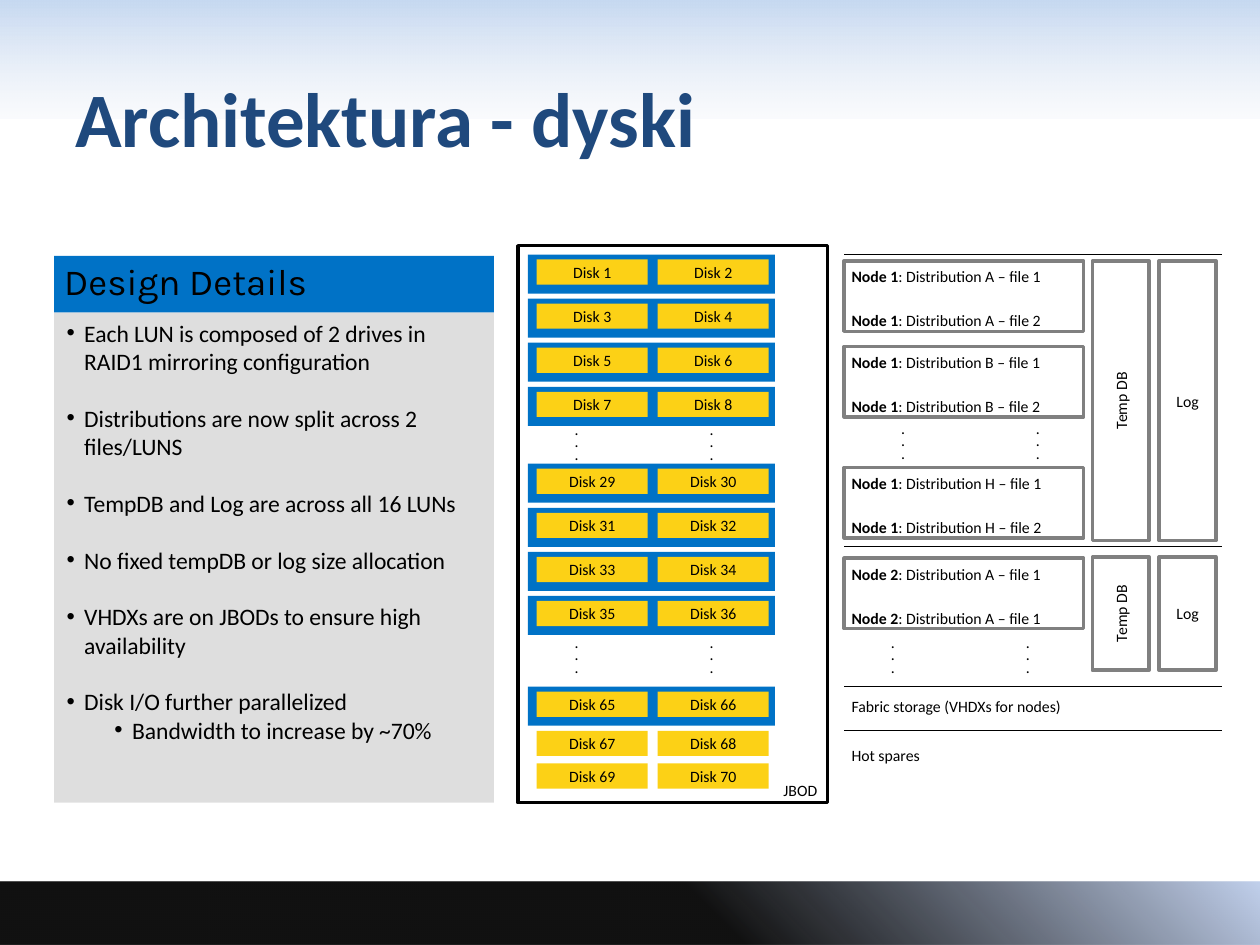
from lxml.etree import SubElement as Sub
from pptx import Presentation
from pptx.dml.color import RGBColor
from pptx.enum.shapes import MSO_CONNECTOR as Link, MSO_SHAPE as Form
from pptx.enum.text import MSO_ANCHOR as Anchor, PP_ALIGN as Align
from pptx.oxml.ns import qn
from pptx.util import Inches, Pt

BLACK, WHITE, GRAY = "000000", "FFFFFF", "808080"
BLUE, GOLD, NAVY = "0072C6", "FCD116", "1F497D"
DISK_X = (4.26, 5.22)
PITCH = 0.35
DETAILS = (
    "Each LUN is composed of 2 drives in RAID1 mirroring configuration",
    "Distributions are now split across 2 files/LUNS",
    "TempDB and Log are across all 16 LUNs",
    "No fixed tempDB or log size allocation",
    "VHDXs are on JBODs to ensure high availability",
    "Disk I/O further parallelized",
)


def color(code):
    return RGBColor.from_string(code)


def add_run(para, text, size=9, code=BLACK, bold=False, face="Calibri"):
    run = para.add_run()
    run.text = text
    run.font.size = Pt(size)
    run.font.name = face
    run.font.bold = bold
    run.font.color.rgb = color(code)


def add_box(slide, x, y, w, h, fill=None, line=None):
    box = slide.shapes.add_shape(
        Form.RECTANGLE, Inches(x), Inches(y), Inches(w), Inches(h))
    box.shadow.inherit = False
    if fill:
        box.fill.solid()
        box.fill.fore_color.rgb = color(fill)
    else:
        box.fill.background()
    if line:
        box.line.color.rgb = color(line)
        box.line.width = Pt(2)
    else:
        box.line.fill.background()
    return box


def add_label(box, text, turn=False):
    frame = box.text_frame
    frame.word_wrap = True
    frame.vertical_anchor = Anchor.MIDDLE
    if turn:
        frame._txBody.bodyPr.set("vert", "vert270")
    para = frame.paragraphs[0]
    para.alignment = Align.CENTER
    add_run(para, text)


def add_text(slide, x, y, w, text, lead="", h=0.25, wrap=False, **style):
    box = slide.shapes.add_textbox(Inches(x), Inches(y), Inches(w), Inches(h))
    frame = box.text_frame
    frame.word_wrap = wrap
    para = frame.paragraphs[0]
    if lead:
        add_run(para, lead, bold=True)
    add_run(para, text, **style)
    return frame


def add_rule(slide, y):
    rule = slide.shapes.add_connector(
        Link.STRAIGHT, Inches(6.7), Inches(y), Inches(9.7), Inches(y))
    rule.line.color.rgb = color(BLACK)
    rule.line.width = Pt(0.75)
    Sub(rule._element.spPr, qn("a:effectLst"))


def set_alpha(node, share):
    Sub(node, qn("a:alpha")).set("val", str(share * 1000))


def add_band(slide, y, h, angle, stops):
    band = add_box(slide, 0, y, 10, h)
    band.fill.gradient()
    grad = band._element.spPr.find(qn("a:gradFill"))
    grad.find(qn("a:lin")).set("ang", str(angle * 60000))
    group = grad.find(qn("a:gsLst"))
    for old in list(group):
        group.remove(old)
    for place, code, share in stops:
        stop = Sub(group, qn("a:gs"))
        stop.set("pos", str(place * 1000))
        tone = Sub(stop, qn("a:srgbClr"))
        tone.set("val", code)
        set_alpha(tone, share)


def add_dots(slide, x, y):
    for left in (x, x + 1.07):
        for step in range(3):
            add_text(slide, left, y + 0.1 * step, 0.16, ".", wrap=True)


def add_pair(slide, y, first):
    for step, x in enumerate(DISK_X):
        disk = add_box(slide, x, y, 0.88, 0.2, GOLD)
        add_label(disk, f"Disk {first + step}")


def add_luns(slide, y, first, count):
    for row in range(count):
        top = y + PITCH * row
        add_box(slide, 4.19, top, 1.96, 0.31, BLUE)
        add_pair(slide, top + 0.04, first + 2 * row)


def add_node(slide, y, node, files):
    add_box(slide, 6.7, y, 1.9, 0.56, WHITE, GRAY)
    for row, name in enumerate(files):
        add_text(slide, 6.66, y + PITCH * row, 1.72,
                 f": Distribution {name}", lead=node)


def add_stores(slide, y, h):
    add_label(add_box(slide, 8.67, y, 0.45, h, WHITE, GRAY), "Temp DB", True)
    add_label(add_box(slide, 9.2, y, 0.45, h, WHITE, GRAY), "Log")


def add_bullet(para, text, left=0.14, gap=0):
    para.alignment = Align.LEFT
    para.space_before = Pt(gap)
    props = para._p.get_or_add_pPr()
    props.set("marL", str(Inches(left)))
    props.set("indent", str(Inches(-0.14)))
    Sub(props, qn("a:buFont")).set("typeface", "Arial")
    Sub(props, qn("a:buChar")).set("char", "•")
    add_run(para, text, size=13.5)


def add_details(slide):
    body = add_box(slide, 0.43, 2.48, 3.49, 3.89, BLACK)
    set_alpha(body._element.spPr.find(".//" + qn("a:srgbClr")), 13)
    frame = body.text_frame
    frame.word_wrap = True
    frame.vertical_anchor = Anchor.TOP
    for row, text in enumerate(DETAILS):
        para = frame.add_paragraph() if row else frame.paragraphs[0]
        add_bullet(para, text, gap=16.2 if row else 0)
    add_bullet(frame.add_paragraph(), "Bandwidth to increase by ~70%", 0.52)

    head = add_box(slide, 0.43, 2.03, 3.49, 0.45, BLUE)
    frame = head.text_frame
    frame.word_wrap = True
    frame.vertical_anchor = Anchor.BOTTOM
    frame.margin_left = frame.margin_bottom = Inches(0.08)
    frame.margin_top = frame.margin_right = Inches(0.04)
    frame.paragraphs[0].alignment = Align.LEFT
    add_run(frame.paragraphs[0], "Design Details", size=21, face="Karla")


def add_jbod(slide):
    add_box(slide, 4.11, 1.95, 2.46, 4.42, line=BLACK)
    add_text(slide, 6.12, 6.15, 0.47, "JBOD")
    for y, first, count in ((2.02, 1, 4), (3.68, 29, 4), (5.45, 65, 1)):
        add_luns(slide, y, first, count)
    add_pair(slide, 5.8, 67)
    add_pair(slide, 6.06, 69)
    add_dots(slide, 4.5, 3.28)
    add_dots(slide, 4.5, 4.97)


def add_nodes(slide):
    for y in (2.02, 4.34, 5.45, 5.8):
        add_rule(slide, y)
    for y, name in ((2.07, "A"), (2.75, "B"), (3.71, "H")):
        add_node(slide, y, "Node 1", [f"{name} – file {n}" for n in (1, 2)])
    add_node(slide, 4.43, "Node 2", ["A – file 1"] * 2)
    add_stores(slide, 2.07, 2.22)
    add_stores(slide, 4.42, 0.9)
    add_dots(slide, 7.09, 3.27)
    add_dots(slide, 7.01, 4.97)
    add_text(slide, 6.66, 5.48, 1.89, "Fabric storage (VHDXs for nodes)")
    add_text(slide, 6.66, 5.87, 0.75, "Hot spares")


def main():
    deck = Presentation()
    deck.slide_width, deck.slide_height = Inches(10), Inches(7.5)
    slide = deck.slides.add_slide(deck.slide_layouts[6])
    add_band(slide, 0, 0.94, 90, [(0, "C6D9F1", 100), (100, "E1E8F5", 16)])
    add_band(slide, 7, 0.5, 315, [(56, BLACK, 93), (100, "C2D1ED", 100)])
    title = add_text(slide, 0.5, 0.3, 9, "Architektura - dyski", h=1.25,
                     wrap=True, size=44, code=NAVY, bold=True)
    title.vertical_anchor = Anchor.MIDDLE
    add_details(slide)
    add_jbod(slide)
    add_nodes(slide)
    deck.save("out.pptx")


if __name__ == "__main__":
    main()
